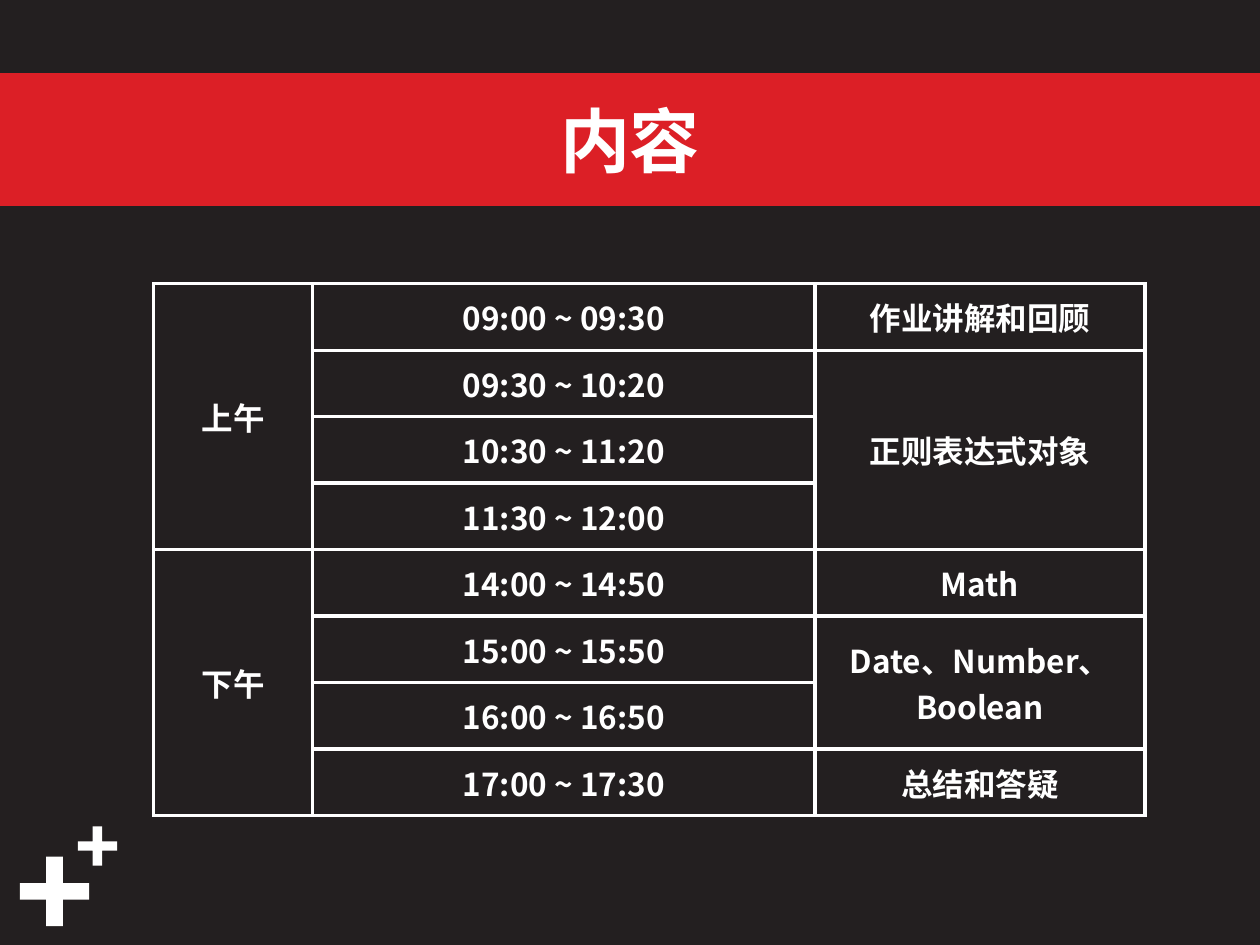
from dataclasses import dataclass

import lxml.etree
import pptx
import pptx.dml.color
import pptx.enum.shapes
import pptx.enum.text
import pptx.oxml.ns
import pptx.util

Cm, Pt = pptx.util.Cm, pptx.util.Pt
RGB = pptx.dml.color.RGBColor
qn = pptx.oxml.ns.qn


@dataclass(frozen=True)
class Theme:
    background: str = "231F20"
    band: str = "DC1F26"
    light: str = "FFFFFF"
    font: str = "Noto Sans CJK SC"
    title_size: int = 40
    table_size: int = 18
    band_line: float = 3
    border: float = 2.25


@dataclass(frozen=True)
class Plus:
    left: float
    top: float
    size: float


@dataclass(frozen=True)
class Entry:
    row: int
    col: int
    text: str
    span: int = 1


THEME = Theme()
PLUSES = [Plus(0.4, 17.27, 1.4), Plus(1.57, 16.66, 0.79)]
TIMES = ["09:00 ~ 09:30", "09:30 ~ 10:20", "10:30 ~ 11:20", "11:30 ~ 12:00",
         "14:00 ~ 14:50", "15:00 ~ 15:50", "16:00 ~ 16:50", "17:00 ~ 17:30"]
ENTRIES = [
    Entry(0, 0, "上午", 4),
    Entry(4, 0, "下午", 4),
    *(Entry(row, 1, time) for row, time in enumerate(TIMES)),
    Entry(0, 2, "作业讲解和回顾"),
    Entry(1, 2, "正则表达式对象", 3),
    Entry(4, 2, "Math"),
    Entry(5, 2, "Date、Number、Boolean", 2),
    Entry(7, 2, "总结和答疑"),
]
COL_WIDTHS = [3.2, 10.13, 6.65]
ROW_HEIGHT = 1.34


def put_text(tf, text: str, *, size: float, color: str = THEME.light,
             bold: bool = True) -> None:
    p = tf.paragraphs[0]
    p.alignment = pptx.enum.text.PP_ALIGN.CENTER
    r = p.add_run()
    r.text = text
    r.font.size, r.font.bold, r.font.name = Pt(size), bold, THEME.font
    r.font.color.rgb = RGB.from_string(color)
    ea = lxml.etree.Element(qn("a:ea"), typeface=THEME.font)
    r.font._element.find(qn("a:latin")).addnext(ea)


def set_borders(cell, color: str, width: float) -> None:
    tc_pr = cell._tc.get_or_add_tcPr()
    for side in ("a:lnL", "a:lnR", "a:lnT", "a:lnB"):
        ln = lxml.etree.SubElement(tc_pr, qn(side), w=str(Pt(width)))
        fill = lxml.etree.SubElement(ln, qn("a:solidFill"))
        lxml.etree.SubElement(fill, qn("a:srgbClr"), val=color)


def add_plus(s, plus: Plus) -> None:
    sp = s.shapes.add_shape(pptx.enum.shapes.MSO_SHAPE.CROSS, Cm(plus.left),
                            Cm(plus.top), Cm(plus.size), Cm(plus.size))
    sp.adjustments[0] = 0.38
    sp.shadow.inherit = False
    sp.fill.solid()
    sp.fill.fore_color.rgb = RGB.from_string(THEME.light)
    sp.line.fill.background()


def add_title(s, text: str, width: int) -> None:
    sp = s.shapes.title
    sp.left, sp.top, sp.width, sp.height = 0, Cm(1.52), width, Cm(2.59)
    sp.fill.solid()
    sp.fill.fore_color.rgb = RGB.from_string(THEME.band)
    sp.line.color.rgb = RGB.from_string(THEME.band)
    sp.line.width = Pt(THEME.band_line)
    sp.text_frame.vertical_anchor = pptx.enum.text.MSO_ANCHOR.MIDDLE
    put_text(sp.text_frame, text, size=THEME.title_size)


def add_schedule(s) -> None:
    rows, cols = len(TIMES), len(COL_WIDTHS)
    table = s.shapes.add_table(rows, cols, Cm(3.1), Cm(5.72), Cm(sum(COL_WIDTHS)),
                               Cm(ROW_HEIGHT * rows)).table
    table.first_row = table.horz_banding = False
    for column, width in zip(table.columns, COL_WIDTHS):
        column.width = Cm(width)
    for row in table.rows:
        row.height = Cm(ROW_HEIGHT)
    for cell in table.iter_cells():
        set_borders(cell, THEME.light, THEME.border)
        cell.fill.background()
    for entry in ENTRIES:
        cell = table.cell(entry.row, entry.col)
        if entry.span > 1:
            cell.merge(table.cell(entry.row + entry.span - 1, entry.col))
        cell.vertical_anchor = pptx.enum.text.MSO_ANCHOR.MIDDLE
        put_text(cell.text_frame, entry.text, size=THEME.table_size)


# Slide and background
prs = pptx.Presentation()
prs.slide_width, prs.slide_height = Cm(25.4), Cm(19.05)
s = prs.slides.add_slide(prs.slide_layouts[5])
s.background.fill.solid()
s.background.fill.fore_color.rgb = RGB.from_string(THEME.background)

# Title band, corner pluses and schedule
add_title(s, "内容", prs.slide_width)
for plus in PLUSES:
    add_plus(s, plus)
add_schedule(s)

prs.save("out.pptx")
